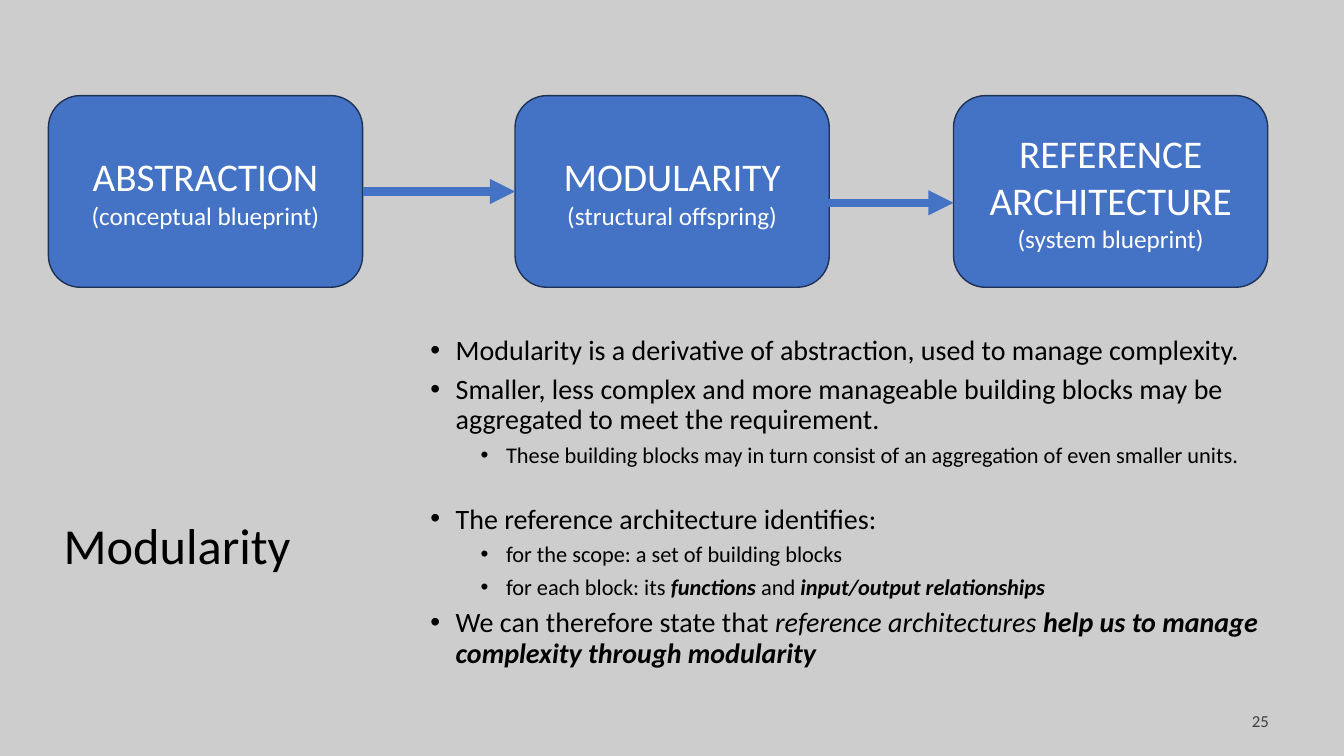
from lxml.etree import SubElement
from pptx import Presentation
from pptx.dml.color import RGBColor
from pptx.enum.shapes import MSO_CONNECTOR, MSO_SHAPE
from pptx.enum.text import MSO_ANCHOR, MSO_AUTO_SIZE, PP_ALIGN
from pptx.oxml.ns import qn
from pptx.util import Cm, Pt

COLORS = {
    "back": "CDCDCD", "box": "4472C4", "edge": "1E3256",
    "text": "000000", "light": "FFFFFF", "number": "404040",
}


def color(name):
    return RGBColor.from_string(COLORS[name])


def style(para, size, name):
    for run in para.runs:
        run.font.name = "Calibri"
        run.font.size = Pt(size)
        run.font.color.rgb = color(name)


deck = Presentation()
deck.slide_width, deck.slide_height = Cm(33.87), Cm(19.05)
slide = deck.slides.add_slide(deck.slide_layouts[1])
slide.background.fill.solid()
slide.background.fill.fore_color.rgb = color("back")

# Title and body placeholders
title, body = slide.placeholders
places = [(title, 1.35, 10.41, 9.14, 6.81), (body, 9.12, 8.13, 23.39, 9.09)]
for holder, left, top, width, height in places:
    holder.left, holder.top = Cm(left), Cm(top)
    holder.width, holder.height = Cm(width), Cm(height)
    holder.text_frame.auto_size = MSO_AUTO_SIZE.NONE
    holder.text_frame.vertical_anchor = MSO_ANCHOR.MIDDLE

title.text_frame.text = "Modularity"
head = title.text_frame.paragraphs[0]
head.alignment = PP_ALIGN.LEFT
head.line_spacing = 0.9
style(head, 36, "text")

# Bullet list: level, space before, runs as (text, bold, italic)
points = [
    (0, 0, [("Modularity is a derivative of abstraction, used to manage complexity.", False, False)]),
    (0, 0, [("Smaller, less complex and more manageable building blocks may be "
             "aggregated to meet the requirement.", False, False)]),
    (1, 0, [("These building blocks may in turn consist of an aggregation of "
             "even smaller units.", False, False)]),
    (0, 20, [("The reference architecture identifies:", False, False)]),
    (1, 0, [("for the scope: a set of building blocks", False, False)]),
    (1, 0, [("for each block: its ", False, False), ("functions", True, True),
            (" and ", False, False), ("input/output relationships", True, True)]),
    (0, 0, [("We can therefore state that ", False, False),
            ("reference architectures ", False, True),
            ("help us to manage complexity through modularity", True, True)]),
]
frame = body.text_frame
for index, (level, before, parts) in enumerate(points):
    para = frame.add_paragraph() if index else frame.paragraphs[0]
    para.level = level
    para.line_spacing = 0.9
    para.space_before, para.space_after = Pt(before), Pt(6)
    for text, bold, slant in parts:
        run = para.add_run()
        run.text = text
        run.font.bold, run.font.italic = bold, slant
    style(para, (20, 16)[level], "text")
    props = para._p.get_or_add_pPr()
    props.set("marL", str(Cm(2.11 + 1.27 * level)))
    props.set("indent", str(-Cm(0.64)))
    SubElement(props, qn("a:buFont")).set("typeface", "Arial")
    SubElement(props, qn("a:buChar")).set("char", "•")

# Slide number
number = slide.shapes.add_textbox(Cm(24.61), Cm(17.65), Cm(7.62), Cm(1.02)).text_frame
number.word_wrap = True
number.vertical_anchor = MSO_ANCHOR.MIDDLE
number.text = "25"
number.paragraphs[0].alignment = PP_ALIGN.RIGHT
number.paragraphs[0].space_after = Pt(6)
style(number.paragraphs[0], 12, "number")

# Three stages
stages = [
    (1.22, "ABSTRACTION", "(conceptual blueprint)"),
    (12.98, "MODULARITY", "(structural offspring)"),
    (24.03, "REFERENCE ARCHITECTURE", "(system blueprint)"),
]
boxes = []
for left, name, note in stages:
    box = slide.shapes.add_shape(
        MSO_SHAPE.ROUNDED_RECTANGLE, Cm(left), Cm(2.41), Cm(7.92), Cm(4.83))
    box.shadow.inherit = False
    box.fill.solid()
    box.fill.fore_color.rgb = color("box")
    box.line.color.rgb = color("edge")
    box.line.width = Pt(1)
    box.text_frame.text = f"{name}\n{note}"
    box.text_frame.vertical_anchor = MSO_ANCHOR.MIDDLE
    for para, size in zip(box.text_frame.paragraphs, (28, 18)):
        para.alignment = PP_ALIGN.CENTER
        style(para, size, "light")
    boxes.append(box)

# Arrows between the stages
arrows = []
for start, end, level in [(9.14, 12.98, 4.83), (19.46, 24.03, 5.11)]:
    arrow = slide.shapes.add_connector(
        MSO_CONNECTOR.STRAIGHT, Cm(start), Cm(level), Cm(end), Cm(level))
    arrow.line.color.rgb = color("box")
    arrow.line.width = Pt(6)
    SubElement(arrow.line._get_or_add_ln(), qn("a:tailEnd")).set("type", "triangle")
    SubElement(arrow._element.spPr, qn("a:effectLst"))
    arrows.append(arrow)
arrows[0].begin_connect(boxes[0], 3)
arrows[0].end_connect(boxes[1], 1)

deck.save("out.pptx")
